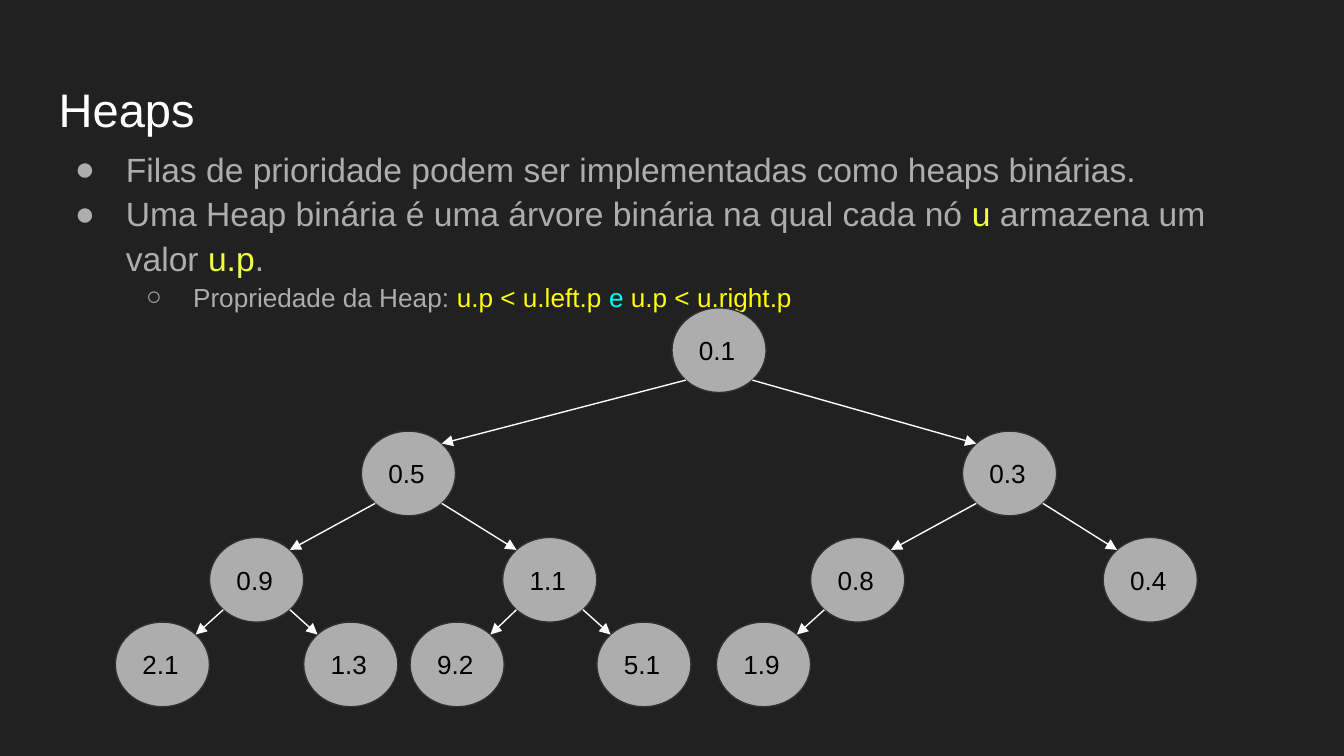
import math
from dataclasses import dataclass

import pptx
import pptx.dml.color
import pptx.enum.shapes
import pptx.enum.text
import pptx.oxml
import pptx.oxml.ns
import pptx.util
from pptx.util import Cm


@dataclass(frozen=True)
class Theme:
    """Colours, font and type sizes of the deck."""
    background: str = "212121"
    title: str = "FFFFFF"
    body: str = "ADADAD"
    variable: str = "EEFF41"
    formula: str = "FFFF00"
    operator: str = "00FFFF"
    node: str = "ADADAD"
    node_line: str = "303030"
    node_text: str = "000000"
    edge: str = "FFFFFF"
    font: str = "Arial"
    title_size: float = 25.2
    body_size: float = 18
    small_size: float = 14
    line_width: float = 0.75


THEME = Theme()
INSET = Cm(0.25)
NODE_WIDTH, NODE_HEIGHT = Cm(1.78), Cm(1.6)
HEAP_LEVELS = [
    (0, [("0.1", 10.52)]),
    (2.33, [("0.5", 4.65), ("0.3", 16.01)]),
    (4.34, [("0.9", 1.78), ("1.1", 7.32), ("0.8", 13.14), ("0.4", 18.67)]),
    (5.94, [("2.1", 0), ("1.3", 3.56), ("9.2", 5.57), ("5.1", 9.1), ("1.9", 11.36)]),
]
STATEMENTS = [
    (0, [("Filas de prioridade podem ser implementadas como heaps binárias.", THEME.body)]),
    (0, [("Uma Heap binária é uma árvore binária na qual cada nó ", THEME.body),
         ("u", THEME.variable), (" armazena um valor ", THEME.body),
         ("u.p", THEME.variable), (".", THEME.body)]),
    (1, [("Propriedade da Heap: ", THEME.body), ("u.p < u.left.p ", THEME.formula),
         ("e", THEME.operator), (" u.p < u.right.p", THEME.formula)]),
]
BULLETS = [("●", 0.5, -0.38, THEME.body_size), ("○", 1, -0.35, THEME.small_size)]


def rgb(value):
    """Turn a hex string into a colour."""
    return pptx.dml.color.RGBColor.from_string(value)


def add_element(parent, markup):
    """Append a DrawingML element given as a tag with attributes and content."""
    tag, rest = markup.split("|")
    namespace = pptx.oxml.ns.nsdecls("a")
    parent.append(pptx.oxml.parse_xml(f"<a:{tag} {namespace} {rest}"))


def add_run(paragraph, text, size, color):
    """Add one styled run to a paragraph."""
    run = paragraph.add_run()
    run.text = text
    run.font.name = THEME.font
    run.font.size = pptx.util.Pt(size)
    run.font.color.rgb = rgb(color)


def set_frame(frame, anchor):
    """Give a text frame wrapping, equal insets and an anchor."""
    frame.word_wrap = True
    frame.margin_left = frame.margin_right = INSET
    frame.margin_top = frame.margin_bottom = INSET
    frame.vertical_anchor = anchor


def add_title(slide, box):
    """Place the slide title in its box."""
    frame = slide.shapes.add_textbox(*box).text_frame
    set_frame(frame, pptx.enum.text.MSO_ANCHOR.BOTTOM)
    add_run(frame.paragraphs[0], "Heaps", THEME.title_size, THEME.title)


def add_statements(slide, box):
    """Place the bulleted statements in their box."""
    frame = slide.shapes.add_textbox(*box).text_frame
    set_frame(frame, pptx.enum.text.MSO_ANCHOR.TOP)
    for position, (level, pieces) in enumerate(STATEMENTS):
        paragraph = frame.add_paragraph() if position else frame.paragraphs[0]
        bullet, margin, indent, size = BULLETS[level]
        paragraph.level = level
        paragraph.line_spacing = 1.1
        properties = paragraph._p.get_or_add_pPr()
        properties.set("marL", str(Cm(margin * 2.54)))
        properties.set("indent", str(Cm(indent * 2.54)))
        add_element(properties, f'buClr|><a:srgbClr val="{THEME.body}"/></a:buClr>')
        add_element(properties, f'buFont|typeface="{THEME.font}"/>')
        add_element(properties, f'buChar|char="{bullet}"/>')
        for text, color in pieces:
            add_run(paragraph, text, size, color)


def add_node(slide, value, left, top):
    """Draw one heap node and return it."""
    node = slide.shapes.add_shape(
        pptx.enum.shapes.MSO_SHAPE.OVAL, left, top, NODE_WIDTH, NODE_HEIGHT)
    node.shadow.inherit = False
    node.fill.solid()
    node.fill.fore_color.rgb = rgb(THEME.node)
    node.line.color.rgb = rgb(THEME.node_line)
    node.line.width = pptx.util.Pt(THEME.line_width)
    set_frame(node.text_frame, pptx.enum.text.MSO_ANCHOR.MIDDLE)
    paragraph = node.text_frame.paragraphs[0]
    paragraph.alignment = pptx.enum.text.PP_ALIGN.LEFT
    add_run(paragraph, value, THEME.small_size, THEME.node_text)
    return node


def diagonal_point(node, side, direction):
    """Return the point of a node's outline on one of its diagonals."""
    reach = math.sqrt(0.5) / 2
    return (round(node.left + node.width * (0.5 + side * reach)),
            round(node.top + node.height * (0.5 + direction * reach)))


def add_edge(slide, parent, child, side):
    """Draw the arrow from a parent to its left (-1) or right (1) child."""
    edge = slide.shapes.add_connector(
        pptx.enum.shapes.MSO_CONNECTOR.STRAIGHT,
        *diagonal_point(parent, side, 1), *diagonal_point(child, -side, -1))
    edge.line.color.rgb = rgb(THEME.edge)
    edge.line.width = pptx.util.Pt(THEME.line_width)
    add_element(edge.line._get_or_add_ln(), 'tailEnd|type="triangle"/>')
    add_element(edge._element.spPr, "effectLst|/>")


def add_heap(slide, box):
    """Draw the heap in level order, where node i has parent (i - 1) // 2."""
    left, top = box[:2]
    nodes = [add_node(slide, value, left + Cm(x), top + Cm(y))
             for y, level in HEAP_LEVELS for value, x in level]
    for index, child in enumerate(nodes[1:], start=1):
        add_edge(slide, nodes[(index - 1) // 2], child, -1 if index % 2 else 1)


def main():
    """Build and save the slide."""
    deck = pptx.Presentation()
    deck.slide_width, deck.slide_height = Cm(25.4), Cm(14.29)
    slide = deck.slides.add_slide(deck.slide_layouts[6])
    slide.background.fill.solid()
    slide.background.fill.fore_color.rgb = rgb(THEME.background)
    add_title(slide, (Cm(0.86), Cm(1.24), Cm(23.67), Cm(1.6)))
    add_statements(slide, (Cm(0.86), Cm(2.49), Cm(23.67), Cm(3.58)))
    add_heap(slide, (Cm(2.18), Cm(5.82), Cm(20.45), Cm(7.54)))
    deck.save("out.pptx")


if __name__ == "__main__":
    main()
